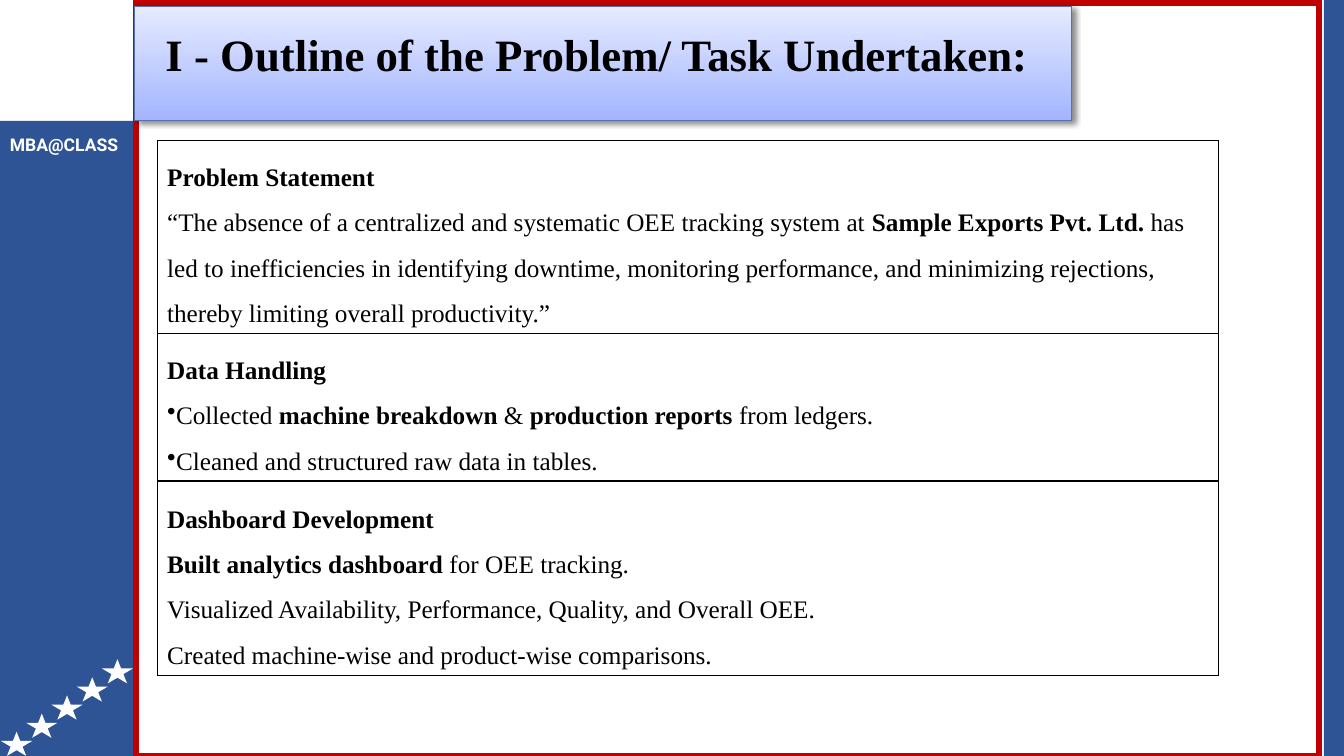
from dataclasses import dataclass

from lxml import etree
from pptx import Presentation
from pptx.dml.color import RGBColor
from pptx.enum import shapes, text
from pptx.oxml import parse_xml
from pptx.oxml.ns import nsdecls, qn
from pptx.util import Inches, Pt


@dataclass(frozen=True)
class Theme:
    navy: str = "2F5496"
    red: str = "C00000"
    white: str = "FFFFFF"
    black: str = "000000"
    title_top: str = "E6EBFF"
    title_bottom: str = "A3B5FF"
    title_edge: str = "5B6FA8"
    serif: str = "Times New Roman"
    sans: str = "Roboto"
    title_size: float = 32
    body_size: float = 18
    label_size: float = 12.5


class SlideBuilder:
    def __init__(self, deck, theme):
        self.theme = theme
        self.slide = deck.slides.add_slide(deck.slide_layouts[5])

    def style_run(self, run, size, font, color, bold=False):
        run.font.size = Pt(size)
        run.font.name = font
        run.font.bold = bold
        run.font.color.rgb = RGBColor.from_string(color)

    def block(self, box, kind=shapes.MSO_SHAPE.RECTANGLE, fill=None, line=None, width=0.75):
        block = self.slide.shapes.add_shape(kind, *map(Inches, box))
        block.shadow.inherit = False
        if fill:
            block.fill.solid()
            block.fill.fore_color.rgb = RGBColor.from_string(fill)
        else:
            block.fill.background()
        if line:
            block.line.color.rgb = RGBColor.from_string(line)
            block.line.width = Pt(width)
            etree.SubElement(block.element.spPr.find(qn("a:ln")), qn("a:miter")).set("lim", "800000")
        else:
            block.line.fill.background()
        return block

    def label(self, box, wording):
        frame = self.slide.shapes.add_textbox(*map(Inches, box)).text_frame
        frame.word_wrap = True
        frame.text = wording
        self.style_run(frame.paragraphs[0].runs[0], self.theme.label_size,
                       self.theme.sans, self.theme.white, True)

    def title(self, box, wording):
        theme = self.theme
        title = self.slide.shapes.title
        self.slide.shapes.element.append(title.element)
        title.left, title.top, title.width, title.height = map(Inches, box)
        title.fill.gradient()
        title.fill.gradient_angle = 270
        for stop, color in zip(title.fill.gradient_stops, (theme.title_top, theme.title_bottom)):
            stop.color.rgb = RGBColor.from_string(color)
        title.line.color.rgb = RGBColor.from_string(theme.title_edge)
        title.line.width = Pt(0.5)
        title.element.spPr.append(parse_xml(
            f'<a:effectLst {nsdecls("a")}><a:outerShdw blurRad="50800" dist="38100" dir="2700000">'
            f'<a:srgbClr val="{theme.black}"><a:alpha val="45000"/></a:srgbClr>'
            '</a:outerShdw></a:effectLst>'))
        frame = title.text_frame
        frame.text = wording
        frame.word_wrap = True
        frame.auto_size = text.MSO_AUTO_SIZE.NONE
        frame.vertical_anchor = text.MSO_ANCHOR.MIDDLE
        frame.margin_right = Inches(0.22)
        frame.margin_bottom = Inches(0.17)
        heading = frame.paragraphs[0]
        heading.alignment = text.PP_ALIGN.CENTER
        heading.line_spacing = 0.9
        self.style_run(heading.runs[0], theme.title_size, theme.serif, theme.black, True)

    def panel(self, box, heading, lines, bulleted=False):
        theme = self.theme
        frame = self.block(box, line=theme.black).text_frame
        frame.word_wrap = True
        frame.auto_size = text.MSO_AUTO_SIZE.SHAPE_TO_FIT_TEXT
        for index, line in enumerate([f"**{heading}**", *lines]):
            paragraph = frame.add_paragraph() if index else frame.paragraphs[0]
            paragraph.alignment = text.PP_ALIGN.LEFT
            paragraph.line_spacing = 1.5
            if bulleted and index:
                bullet = etree.SubElement(paragraph._p.get_or_add_pPr(), qn("a:buChar"))
                bullet.set("char", "•")
            for part, wording in enumerate(line.split("**")):
                if wording:
                    run = paragraph.add_run()
                    run.text = wording
                    self.style_run(run, theme.body_size, theme.serif, theme.black, part % 2 == 1)


def main():
    deck = Presentation()
    deck.slide_width, deck.slide_height = Inches(13.33), Inches(7.5)
    theme = Theme()
    page = SlideBuilder(deck, theme)

    page.block((0, 1.2, 1.35, 6.3), fill=theme.navy)
    page.block((13.13, 0, 0.2, 7.5), fill=theme.navy)
    for step in range(5):
        page.block((0.01 + 0.25 * step, 7.26 - 0.18 * step, 0.31, 0.24),
                   shapes.MSO_SHAPE.STAR_5_POINT, theme.white)
    page.label((0, 1.28, 1.36, 0.31), "MBA@CLASS")
    page.block((1.35, 0.03, 11.73, 7.47), fill=theme.white, line=theme.red, width=4.5)
    page.title((1.33, 0.06, 9.3, 1.13), "I - Outline of the Problem/ Task Undertaken:")

    left, width = 1.56, 10.53
    page.panel((left, 1.39, width, 1.92), "Problem Statement", [
        "“The absence of a centralized and systematic OEE tracking system at "
        "**Sample Exports Pvt. Ltd.** has led to inefficiencies in identifying downtime, "
        "monitoring performance, and minimizing rejections, "
        "thereby limiting overall productivity.”",
    ])
    page.panel((left, 3.31, width, 1.46), "Data Handling", [
        "Collected **machine breakdown** & **production reports** from ledgers.",
        "Cleaned and structured raw data in tables.",
    ], bulleted=True)
    page.panel((left, 4.78, width, 1.92), "Dashboard Development", [
        "**Built analytics dashboard** for OEE tracking.",
        "Visualized Availability, Performance, Quality, and Overall OEE.",
        "Created machine-wise and product-wise comparisons.",
    ])
    deck.save("out.pptx")


if __name__ == "__main__":
    main()
